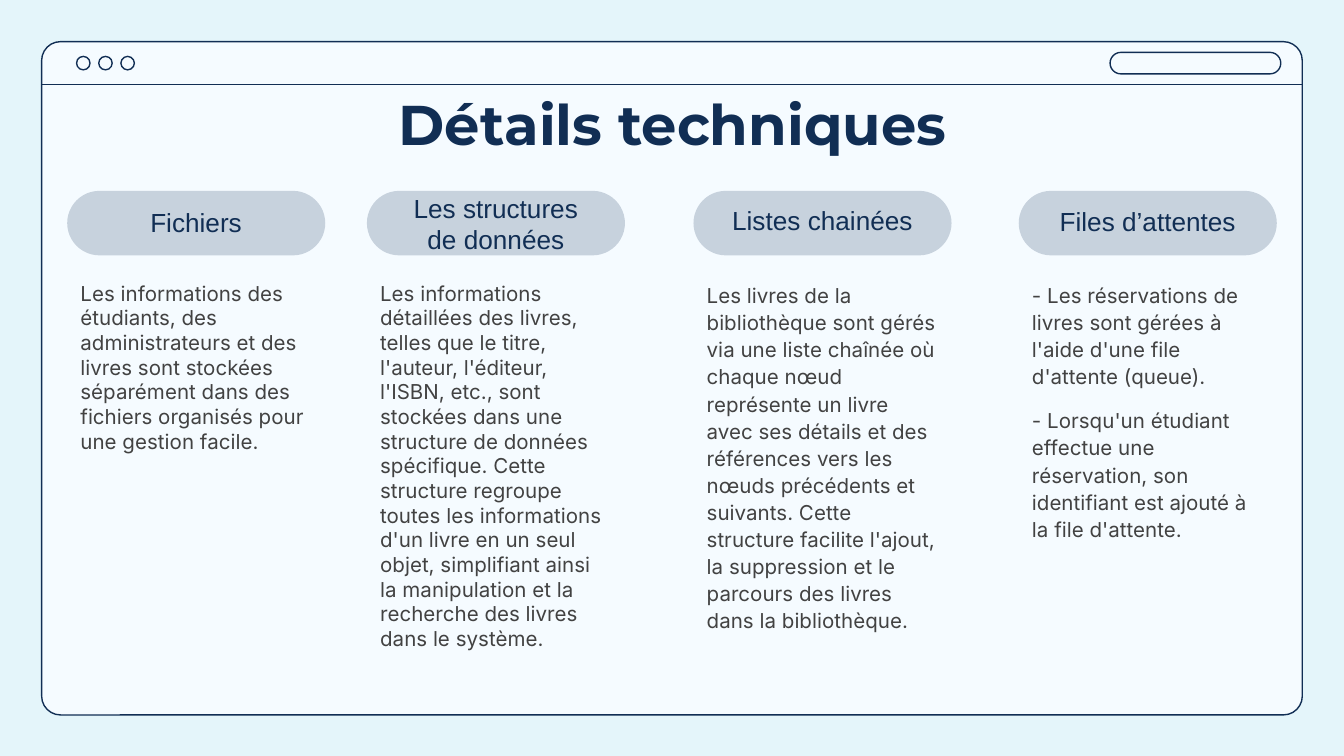
import pptx
import pptx.dml.color
import pptx.enum.shapes
import pptx.enum.text
import pptx.oxml.ns
import pptx.util
from lxml import etree

Inches = pptx.util.Inches
Pt = pptx.util.Pt
SHAPES = pptx.enum.shapes.MSO_SHAPE
ALIGN = pptx.enum.text.PP_ALIGN

COLORS = {
    "background": "E4F5FA",
    "window": "F5FBFF",
    "navy": "112E54",
    "pill": "C7D2DD",
    "body": "424242",
}

COLUMNS = [
    (0.5, 1.49, 0.34, "Fichiers", 1.67, 1.0, [
        "Les informations des étudiants, des administrateurs et des livres sont stockées "
        "séparément dans des fichiers organisés pour une gestion facile.",
    ]),
    (2.73, 1.38, 0.57, "Les structures de données", 3.16, 1.0, [
        "Les informations détaillées des livres, telles que le titre, l'auteur, l'éditeur, "
        "l'ISBN, etc., sont stockées dans une structure de données spécifique. Cette structure "
        "regroupe toutes les informations d'un livre en un seul objet, simplifiant ainsi la "
        "manipulation et la recherche des livres dans le système.",
    ]),
    (5.16, 1.47, 0.34, "Listes chainées", 3.03, 1.1, [
        "Les livres de la bibliothèque sont gérés via une liste chaînée où chaque nœud représente "
        "un livre avec ses détails et des références vers les nœuds précédents et suivants. Cette "
        "structure facilite l'ajout, la suppression et le parcours des livres dans la bibliothèque.",
    ]),
    (7.58, 1.48, 0.34, "Files d’attentes", 2.34, 1.1, [
        "- Les réservations de livres sont gérées à l'aide d'une file d'attente (queue).",
        "- Lorsqu'un étudiant effectue une réservation, son identifiant est ajouté à la file d'attente.",
    ]),
]


class SlideBuilder:
    """Holds the style and the current slide, and draws each kind of element."""

    def __init__(self, slide):
        self.slide = slide
        self.line_width = Pt(0.75)
        fill = slide.background.fill
        fill.solid()
        fill.fore_color.rgb = self.color("background")

    def color(self, name):
        return pptx.dml.color.RGBColor.from_string(COLORS[name])

    def shape(self, kind, left, top, width, height, fill=None, line=None, rounding=None):
        shape = self.slide.shapes.add_shape(
            kind, Inches(left), Inches(top), Inches(width), Inches(height))
        shape.shadow.inherit = False
        if rounding is not None:
            shape.adjustments[0] = rounding
        if fill:
            shape.fill.solid()
            shape.fill.fore_color.rgb = self.color(fill)
        else:
            shape.fill.background()
        if line:
            shape.line.color.rgb = self.color(line)
            shape.line.width = self.line_width
        else:
            shape.line.fill.background()

    def rule(self, left, right, top):
        connector = self.slide.shapes.add_connector(
            pptx.enum.shapes.MSO_CONNECTOR.STRAIGHT,
            Inches(left), Inches(top), Inches(right), Inches(top))
        connector.line.color.rgb = self.color("navy")
        connector.line.width = self.line_width
        etree.SubElement(connector._element.spPr, pptx.oxml.ns.qn("a:effectLst"))

    def text(self, left, top, width, height, paragraphs, font, size, color,
             align=ALIGN.LEFT, bold=False, spacing=1.0, inset=0.05, grow=True):
        box = self.slide.shapes.add_textbox(
            Inches(left), Inches(top), Inches(width), Inches(height))
        frame = box.text_frame
        frame.word_wrap = True
        frame.margin_top = frame.margin_bottom = Inches(inset)
        if grow:
            frame.auto_size = pptx.enum.text.MSO_AUTO_SIZE.SHAPE_TO_FIT_TEXT
        for index, words in enumerate(paragraphs):
            paragraph = frame.add_paragraph() if index else frame.paragraphs[0]
            paragraph.text = words
            paragraph.alignment = align
            paragraph.line_spacing = spacing
            if index:
                paragraph.space_before = Pt(9)
            paragraph.font.name = font
            paragraph.font.size = Pt(size)
            paragraph.font.bold = bold
            paragraph.font.color.rgb = self.color(color)


def main():
    presentation = pptx.Presentation()
    presentation.slide_width = Inches(10)
    presentation.slide_height = Inches(10 * 9 / 16)
    builder = SlideBuilder(presentation.slides.add_slide(presentation.slide_layouts[6]))

    builder.shape(SHAPES.ROUNDED_RECTANGLE, 0.31, 0.31, 9.38, 5.01, "window", "navy", 0.028)
    for index in range(3):
        builder.shape(SHAPES.OVAL, 0.57 + index * 0.165, 0.42, 0.1, 0.1, line="navy")
    builder.shape(SHAPES.ROUNDED_RECTANGLE, 8.26, 0.39, 1.27, 0.16, line="navy", rounding=0.5)
    builder.rule(0.31, 9.69, 0.63)
    builder.text(0.79, 0.57, 8.43, 0.63, ["Détails techniques"], "Montserrat", 30, "navy",
                 ALIGN.CENTER, bold=True, inset=0.1, grow=False)

    for left, label_top, label_height, label, body_height, spacing, body in COLUMNS:
        builder.shape(SHAPES.ROUNDED_RECTANGLE, left, 1.42, 1.92, 0.48, "pill", rounding=0.5)
        builder.text(left + 0.16, label_top, 1.6, label_height, [label], "Arial", 14, "navy",
                     ALIGN.CENTER)
        builder.text(left, 2.04, 1.92, body_height, body, "Inter", 11, "body", spacing=spacing)

    presentation.save("out.pptx")


if __name__ == "__main__":
    main()
